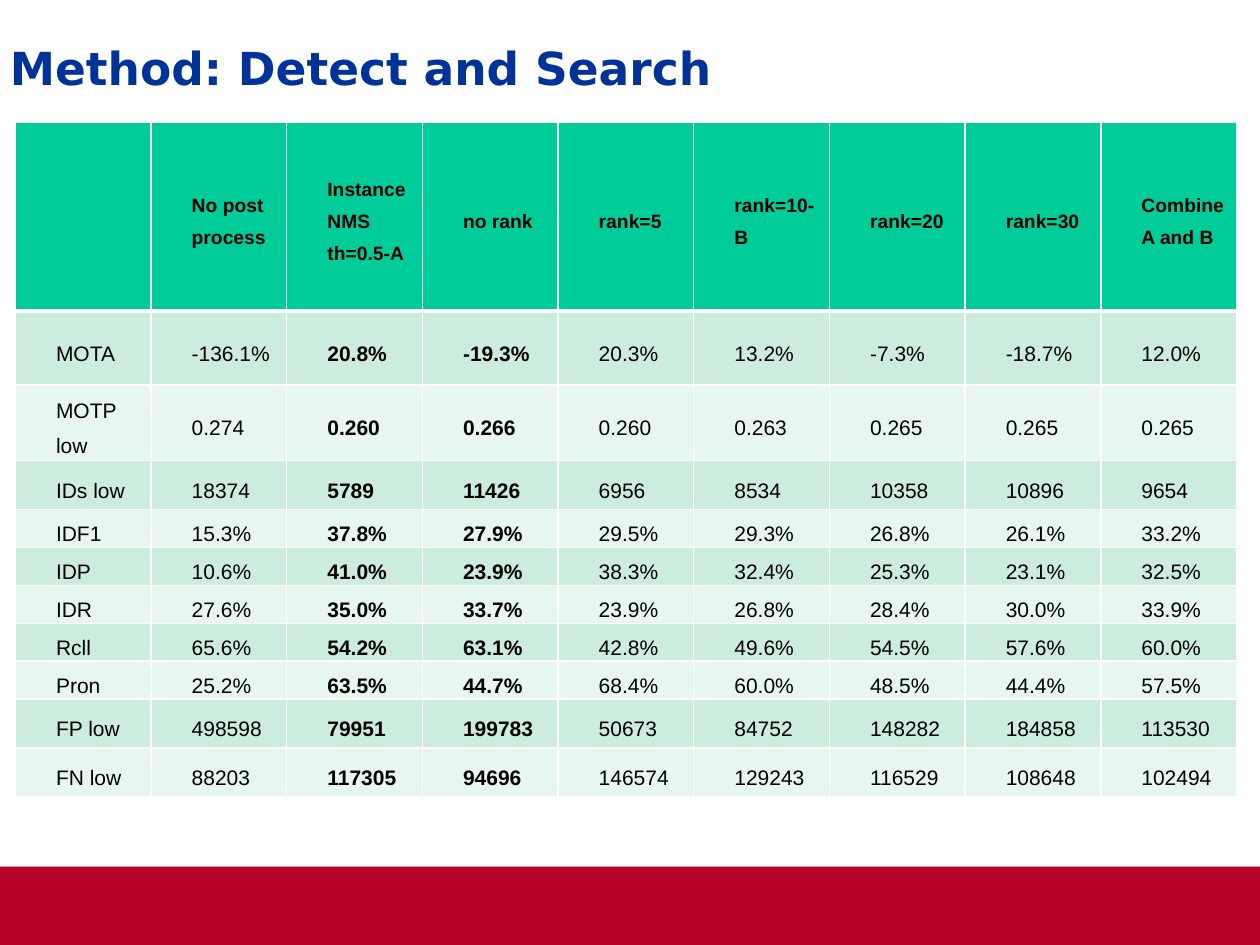
from lxml.etree import SubElement
from pptx import Presentation
from pptx.dml.color import RGBColor
from pptx.enum.shapes import MSO_SHAPE
from pptx.enum.text import MSO_ANCHOR
from pptx.oxml import parse_xml
from pptx.oxml.ns import nsdecls, qn
from pptx.util import Cm, Pt

# Content
TITLE = "Method: Detect and Search"
HEADERS = ["", "No post process", "Instance NMS th=0.5-A", "no rank", "rank=5",
           "rank=10-B", "rank=20", "rank=30", "Combine\nA and B"]
RESULTS = [
    ["MOTA", "-136.1%", "20.8%", "-19.3%", "20.3%", "13.2%", "-7.3%", "-18.7%", "12.0%"],
    ["MOTP low", "0.274", "0.260", "0.266", "0.260", "0.263", "0.265", "0.265", "0.265"],
    ["IDs low", "18374", "5789", "11426", "6956", "8534", "10358", "10896", "9654"],
    ["IDF1", "15.3%", "37.8%", "27.9%", "29.5%", "29.3%", "26.8%", "26.1%", "33.2%"],
    ["IDP", "10.6%", "41.0%", "23.9%", "38.3%", "32.4%", "25.3%", "23.1%", "32.5%"],
    ["IDR", "27.6%", "35.0%", "33.7%", "23.9%", "26.8%", "28.4%", "30.0%", "33.9%"],
    ["Rcll", "65.6%", "54.2%", "63.1%", "42.8%", "49.6%", "54.5%", "57.6%", "60.0%"],
    ["Pron", "25.2%", "63.5%", "44.7%", "68.4%", "60.0%", "48.5%", "44.4%", "57.5%"],
    ["FP low", "498598", "79951", "199783", "50673", "84752", "148282", "184858", "113530"],
    ["FN low", "88203", "117305", "94696", "146574", "129243", "116529", "108648", "102494"],
]
BOLD_COLUMNS = (2, 3)

# Layout in centimetres
TABLE_LEFT, TABLE_TOP = 0.31, 2.47
COLUMN_WIDTH = 2.735
ROW_HEIGHTS = [3.8, 1.49, 1.22, 0.99] + [0.69] * 5 + [0.99] * 2

BLACK = RGBColor(0x00, 0x00, 0x00)
BLUE = RGBColor(0x00, 0x33, 0x99)
RED = RGBColor(0xB6, 0x02, 0x25)
GREEN = RGBColor(0x00, 0xCC, 0x99)
BAND_COLORS = (RGBColor(0xCC, 0xEC, 0xDE), RGBColor(0xE7, 0xF6, 0xEF))
WHITE = RGBColor(0xFF, 0xFF, 0xFF)


def write_text(frame, text, font="Arial", size=12, color=BLACK, bold=False,
               spacing=1.5, indent=0):
    """Write one paragraph per line of text."""
    frame.word_wrap = True
    for index, line in enumerate(text.split("\n")):
        paragraph = frame.paragraphs[0] if index == 0 else frame.add_paragraph()
        paragraph.line_spacing = spacing
        properties = paragraph._p.get_or_add_pPr()
        properties.set("marL", str(Cm(indent)))
        properties.set("indent", "0")
        run = paragraph.add_run()
        run.text = line
        run.font.name = font
        run.font.size = Pt(size)
        run.font.bold = bold
        run.font.color.rgb = color


def set_borders(cell, top, bottom):
    """Draw white borders; top and bottom are widths in points."""
    properties = cell._tc.get_or_add_tcPr()
    for side, width in (("L", 1), ("R", 1), ("T", top), ("B", bottom)):
        line = SubElement(properties, qn(f"a:ln{side}"), w=str(Pt(width)))
        fill = SubElement(line, qn("a:solidFill"))
        SubElement(fill, qn("a:srgbClr"), val=str(WHITE))


presentation = Presentation()
presentation.slide_width, presentation.slide_height = Cm(25.4), Cm(19.05)
slide = presentation.slides.add_slide(presentation.slide_layouts[6])

# Footer band with a soft shadow
band = slide.shapes.add_shape(MSO_SHAPE.RECTANGLE, 0, Cm(17.47), Cm(25.4), Cm(1.58))
band.fill.solid()
band.fill.fore_color.rgb = RED
band.line.fill.background()
band._element.spPr.append(parse_xml(
    f'<a:effectLst {nsdecls("a")}>'
    f'<a:outerShdw blurRad="{Pt(3.1)}" dist="{Pt(1.8)}" dir="5400000" rotWithShape="0">'
    '<a:srgbClr val="000000"><a:alpha val="35000"/></a:srgbClr>'
    '</a:outerShdw></a:effectLst>'))

# Title
title = slide.shapes.add_textbox(Cm(0.2), Cm(0.48), Cm(24.82), Cm(2))
title_frame = title.text_frame
title_frame.margin_left = title_frame.margin_top = 0
title_frame.vertical_anchor = MSO_ANCHOR.MIDDLE
write_text(title_frame, TITLE, font="DejaVu Sans", size=26, color=BLUE,
           bold=True, spacing=0.95)

# Results table
rows = [HEADERS] + RESULTS
table = slide.shapes.add_table(
    len(rows), len(HEADERS), Cm(TABLE_LEFT), Cm(TABLE_TOP),
    Cm(COLUMN_WIDTH * len(HEADERS)), Cm(sum(ROW_HEIGHTS))).table
for column in table.columns:
    column.width = Cm(COLUMN_WIDTH)

for row_index, values in enumerate(rows):
    table.rows[row_index].height = Cm(ROW_HEIGHTS[row_index])
    is_header = row_index == 0
    for column_index, value in enumerate(values):
        cell = table.cell(row_index, column_index)
        set_borders(cell, top=3 if row_index == 1 else 1, bottom=3 if is_header else 1)
        cell.fill.solid()
        cell.fill.fore_color.rgb = GREEN if is_header else BAND_COLORS[(row_index - 1) % 2]
        cell.vertical_anchor = MSO_ANCHOR.MIDDLE
        cell.margin_left = cell.margin_right = Cm(0.18)
        cell.margin_top = cell.margin_bottom = 0
        if value:
            write_text(cell.text_frame, value, size=11 if is_header else 12,
                       bold=is_header or column_index in BOLD_COLUMNS, indent=0.64)

presentation.save("out.pptx")
